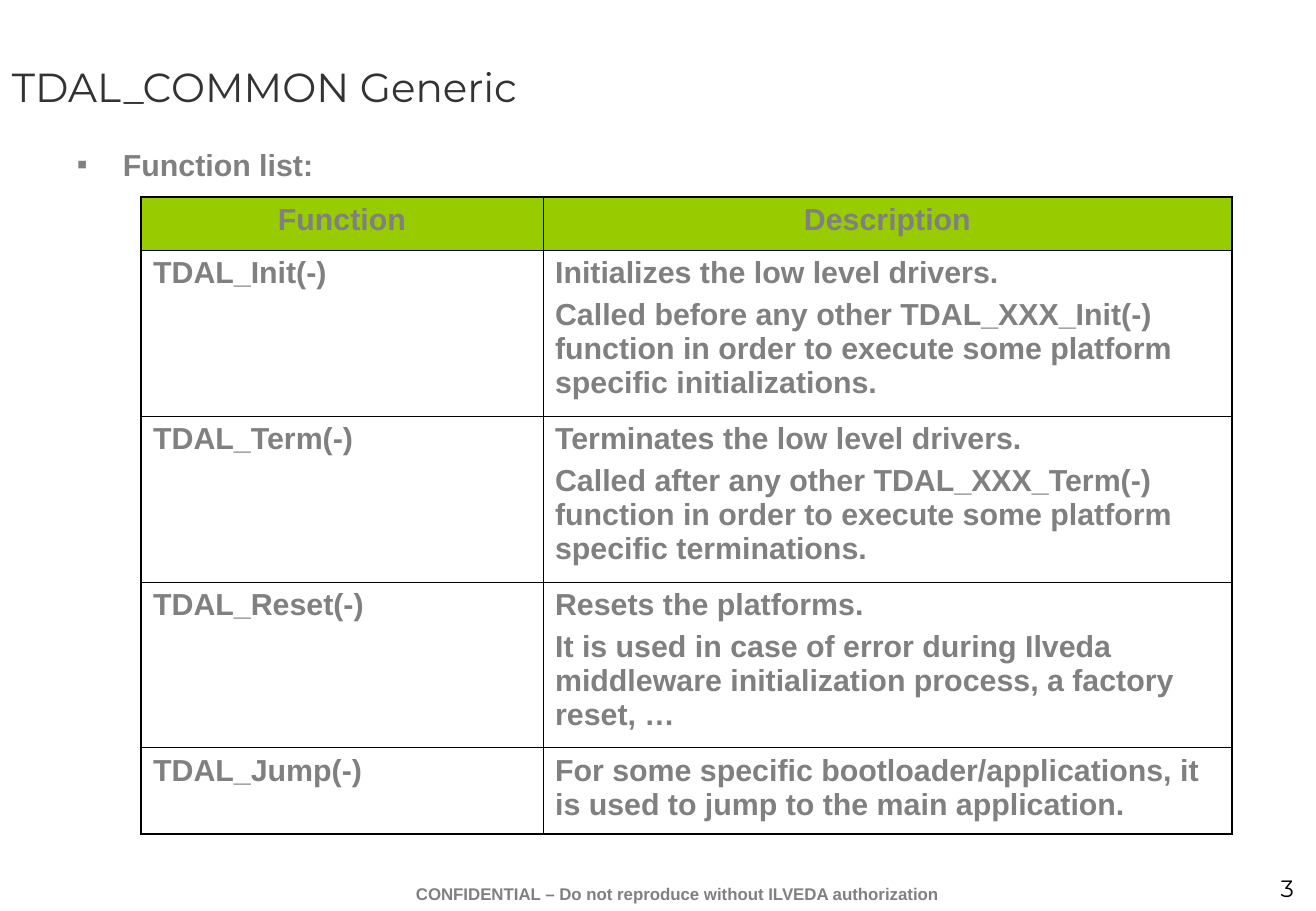
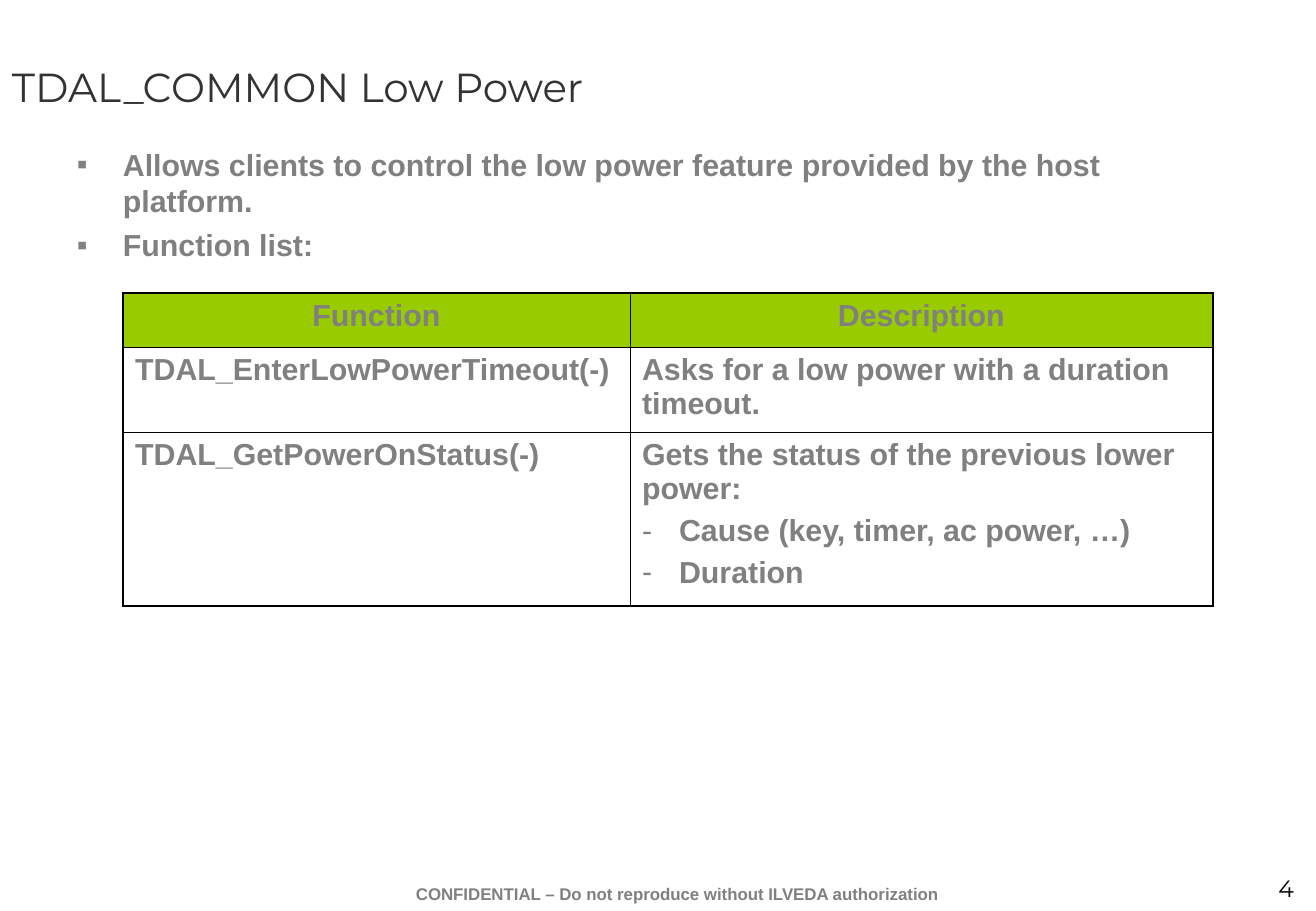
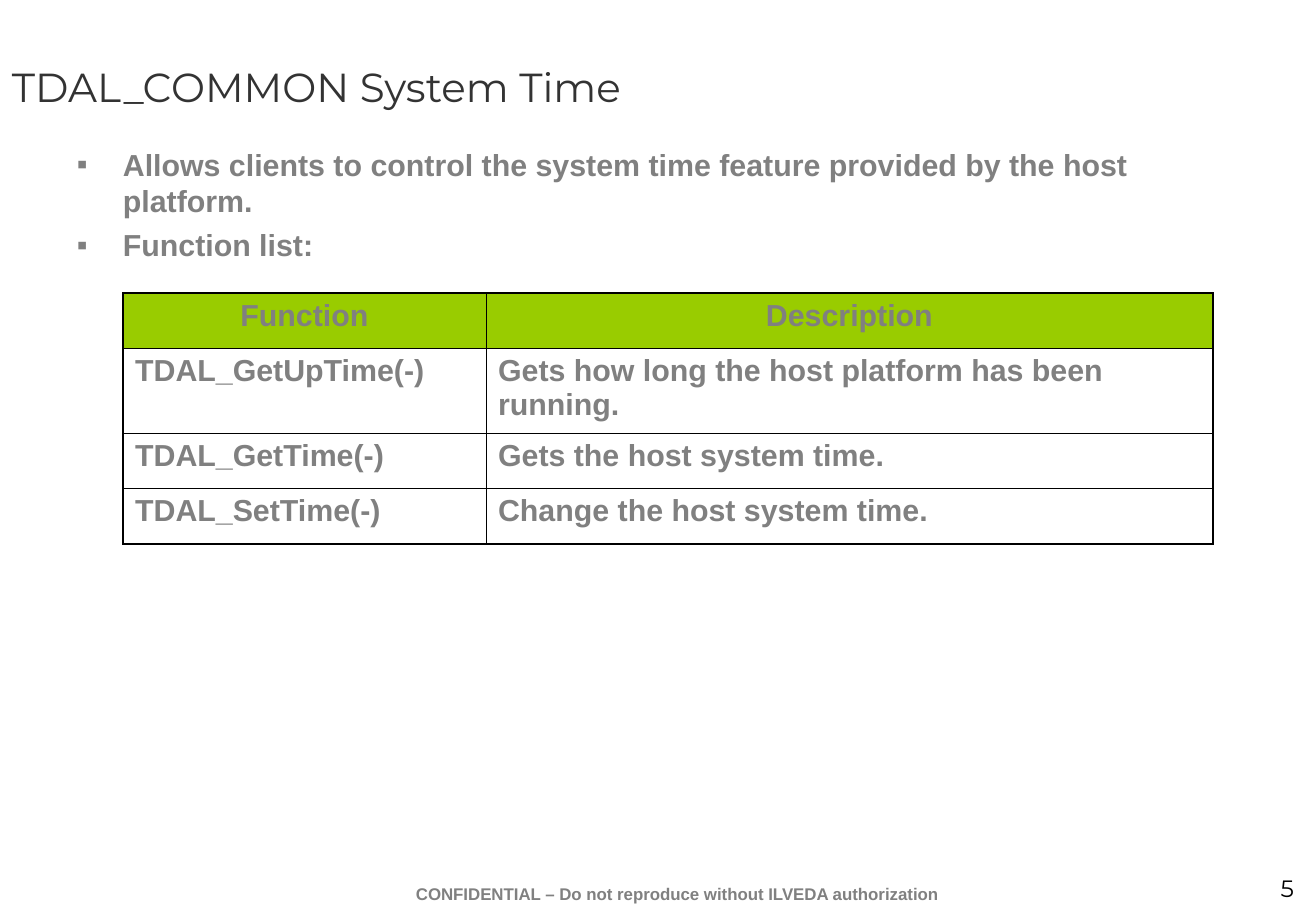
from pptx import Presentation
from pptx.dml.color import RGBColor
from pptx.enum.text import MSO_ANCHOR, PP_ALIGN
from pptx.oxml.ns import qn
from pptx.util import Emu, Inches, Pt
from lxml import etree

LEFT, CENTER, RIGHT = PP_ALIGN.LEFT, PP_ALIGN.CENTER, PP_ALIGN.RIGHT
TOP, MIDDLE = MSO_ANCHOR.TOP, MSO_ANCHOR.MIDDLE

SCALE = 7532  # EMU in one px
WIDTH, HEIGHT = Inches(10.84), Inches(7.5)
GREY, DARK, BLACK, GREEN = "808080", "333333", "000000", "99CC00"
SANS, HEAD = "Arial", "Montserrat"
THIN, THICK = 0.45, 1.08
GAP = 4.5
BODY = (18, SANS, GREY, True)
FOOTER = "CONFIDENTIAL – Do not reproduce without ILVEDA authorization"
HEADER = ("Function", "Description")


def px(n):
    return Emu(round(n * SCALE))


def color(code):
    return RGBColor.from_string(code)


def style(para, size, face, code, bold=False, align=LEFT):
    para.alignment = align
    for run in para.runs:
        font = run.font
        font.size, font.name, font.bold = Pt(size), face, bold
        font.color.rgb = color(code)


def bullet(para, mark, indent):
    props = para._p.get_or_add_pPr()
    props.set("marL", str(px(indent)))
    props.set("indent", str(-px(indent)))
    etree.SubElement(props, qn("a:buFont")).set("typeface", SANS)
    etree.SubElement(props, qn("a:buChar")).set("char", mark)


def label(slide, box, text, look, align=LEFT, anchor=TOP):
    """Add a wrapped text box and return its frame."""
    frame = slide.shapes.add_textbox(*map(px, box)).text_frame
    frame.word_wrap = True
    frame.vertical_anchor = anchor
    frame.text = text
    for para in frame.paragraphs:
        style(para, *look, align=align)
    return frame


def base(slide, title, number):
    """Place the title, footer and page number that all slides share."""
    label(slide, (1165, 867, 141, 40), str(number), (14, HEAD, BLACK), RIGHT)
    label(slide, (323, 877, 708, 33), FOOTER, (10, SANS, GREY, True), CENTER)
    label(slide, (0, 0, 1315, 172), title, (24, HEAD, DARK), anchor=MIDDLE)


def points(slide, box, items):
    frame = label(slide, box, "\n".join(items), BODY)
    for para in frame.paragraphs:
        para.space_before = Pt(GAP)
        bullet(para, "▪", 46)


def edges(cell, widths):
    props = cell._tc.get_or_add_tcPr()
    for side, width in zip("LRTB", widths):
        line = etree.SubElement(props, qn("a:ln" + side), w=str(Pt(width)))
        fill = etree.SubElement(line, qn("a:solidFill"))
        etree.SubElement(fill, qn("a:srgbClr"), val=BLACK)


def fill_cell(cell, text, head):
    """Write the text; lines that start with a dash become list items."""
    frame = cell.text_frame
    frame.text = text
    for para in frame.paragraphs:
        listed = para.text.startswith("- ")
        if listed:
            para.text = para.text[2:]
        style(para, *BODY, align=CENTER if head else LEFT)
        para.space_before = Pt(GAP)
        if listed:
            bullet(para, "-", 37)
    if head:
        cell.fill.solid()
        cell.fill.fore_color.rgb = color(GREEN)
    else:
        cell.fill.background()


def grid(slide, spot, cols, heights, rows):
    rows = [HEADER, *rows]
    size = (sum(cols), sum(heights))
    frame = slide.shapes.add_table(len(rows), len(cols), *map(px, spot + size))
    table = frame.table
    table.first_row = table.horz_banding = False
    for col, width in zip(table.columns, cols):
        col.width = px(width)
    for row, height in zip(table.rows, heights):
        row.height = px(height)
    for r, texts in enumerate(rows):
        for c, text in enumerate(texts):
            outer = (c == 0, c == len(cols) - 1, r == 0, r == len(rows) - 1)
            cell = table.cell(r, c)
            edges(cell, [THICK if out else THIN for out in outer])
            fill_cell(cell, text, r == 0)


SLIDES = [
    ("TDAL_COMMON Generic", ["Function list:"],
     (141, 197), (402, 689), (53, 166, 166, 165, 86), [
        ("TDAL_Init(-)",
         "Initializes the low level drivers.\n"
         "Called before any other TDAL_XXX_Init(-) function in order to "
         "execute some platform specific initializations."),
        ("TDAL_Term(-)",
         "Terminates the low level drivers.\n"
         "Called after any other TDAL_XXX_Term(-) function in order to "
         "execute some platform specific terminations."),
        ("TDAL_Reset(-)",
         "Resets the platforms.\n"
         "It is used in case of error during Ilveda middleware "
         "initialization process, a factory reset, …"),
        ("TDAL_Jump(-)",
         "For some specific bootloader/applications, it is used to jump "
         "to the main application."),
     ]),
    ("TDAL_COMMON Low Power",
     ["Allows clients to control the low power feature provided by the "
      "host platform.", "Function list:"],
     (123, 293), (507, 583), (54, 85, 174), [
        ("TDAL_EnterLowPowerTimeout(-)",
         "Asks for a low power with a duration timeout."),
        ("TDAL_GetPowerOnStatus(-)",
         "Gets the status of the previous lower power:\n"
         "- Cause (key, timer, ac power, …)\n"
         "- Duration"),
     ]),
    ("TDAL_COMMON System Time",
     ["Allows clients to control the system time feature provided by the "
      "host platform.", "Function list:"],
     (123, 293), (363, 727), (55, 85, 55, 56), [
        ("TDAL_GetUpTime(-)",
         "Gets how long the host platform has been running."),
        ("TDAL_GetTime(-)", "Gets the host system time."),
        ("TDAL_SetTime(-)", "Change the host system time."),
     ]),
]


def main():
    deck = Presentation()
    deck.slide_width, deck.slide_height = WIDTH, HEIGHT
    blank = deck.slide_layouts[6]
    for number, (title, items, *table) in enumerate(SLIDES, 3):
        slide = deck.slides.add_slide(blank)
        base(slide, title, number)
        points(slide, (65, 140, 1165, 601), items)
        grid(slide, *table)
    deck.save("out.pptx")


if __name__ == "__main__":
    main()
